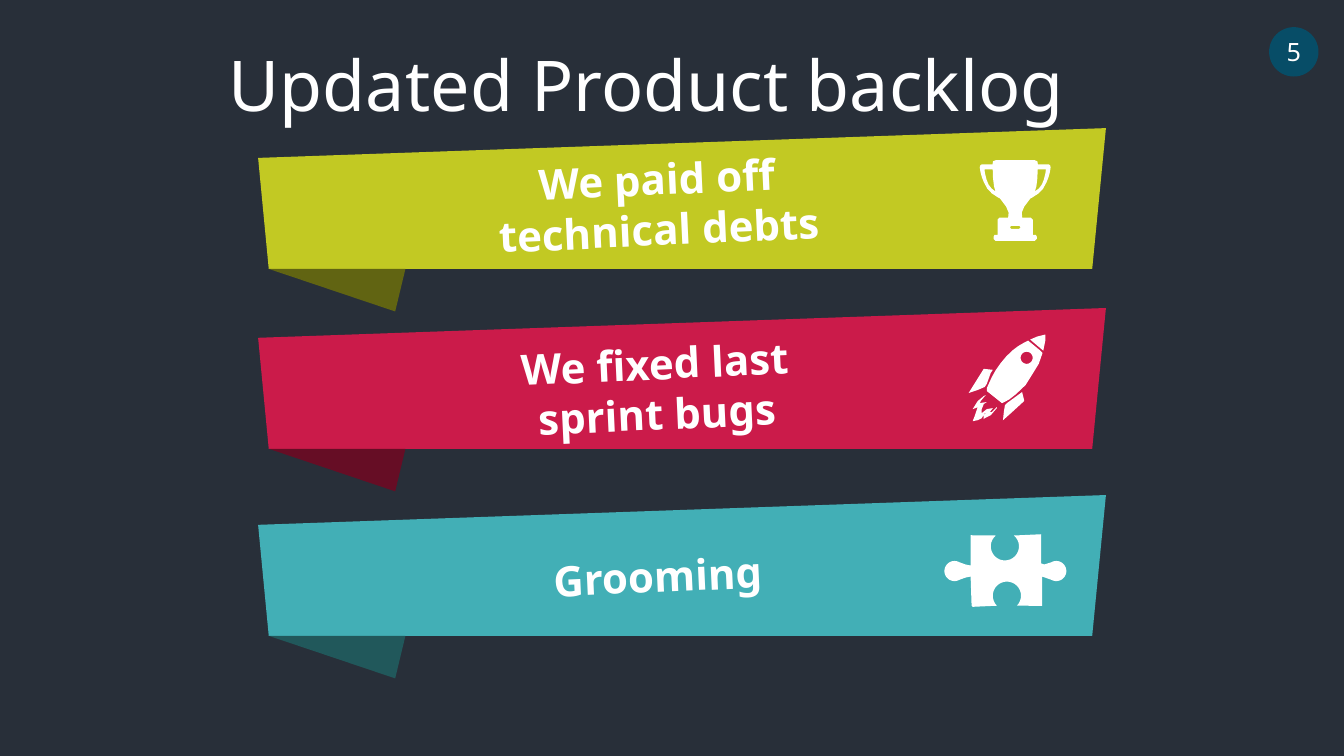
from dataclasses import dataclass
from math import cos, radians, sin

from pptx import Presentation
from pptx.dml.color import RGBColor
from pptx.enum.shapes import MSO_SHAPE
from pptx.enum.text import MSO_ANCHOR, PP_ALIGN
from pptx.util import Pt


@dataclass(frozen=True)
class Theme:
    background: str = "282F39"
    text: str = "FFFFFF"
    badge: str = "074D67"
    lime: str = "C2C923"
    lime_fold: str = "616412"
    crimson: str = "CB1B4A"
    crimson_fold: str = "660D25"
    teal: str = "42AFB6"
    teal_fold: str = "21585B"
    font: str = "Noto Sans"
    first_label_font: str = "Open Sans"
    title_size: int = 50
    label_size: int = 30
    badge_size: int = 18


THEME = Theme()
BANNER_LEFT = 184.4
ICON_UNIT = 0.72  # points per step of the icon grids

BANNER_OUTLINE = [(0, 21.3), (605.6, 0), (595.8, 100.6), (7.6, 100.6)]
FOLD_OUTLINE = [(7.6, 100.6), (105.2, 100.6), (97.9, 131)]


def arc(center_x, center_y, radius, start, end, steps=24):
    """Points on a circle between two angles in degrees, y pointing down."""
    angles = [radians(start + (end - start) * i / steps) for i in range(steps + 1)]
    return [(center_x + radius * cos(a), center_y + radius * sin(a)) for a in angles]


def mirrored(half):
    """Complete a right-hand outline with its reflection in the axis x = 0."""
    return half + [(-x, y) for x, y in reversed(half)]


CUP = mirrored([
    (0, 80), (19.5, 80), (21.5, 78), (21.5, 76), (20.5, 74), (17.5, 74),
    (17.5, 59), (15.5, 57), (7, 57), (6.5, 52), (9, 46), (15, 38), (17, 37),
    (23, 33), (27.5, 28.5), (31, 22), (33, 17), (34.4, 12), (35.2, 7),
    (34.6, 5), (33, 4), (22.5, 4), (22, 1), (19.5, 0), (0, 0),
])
HANDLE = [(19.5, 31), (21, 26), (22, 18), (22.3, 9), (30.5, 9),
          (30, 13), (28.5, 19), (26.5, 24), (23.5, 28)]
CUP_PLATE = mirrored([(0, 65), (4, 65), (5.3, 66.5), (4, 68), (0, 68)])
TROPHY = [[CUP, HANDLE, [(-x, y) for x, y in HANDLE], CUP_PLATE]]

ROCKET_BODY = [
    (14, 56), (14, 53), (19, 42), (23, 35), (28, 28), (33, 22), (39, 16),
    (45, 11.5), (51, 8), (55, 6), (66, 15), (69, 18), (69, 19), (65.5, 29),
    (60, 38), (52.5, 50), (43, 59), (36, 64.5), (29, 68), (19, 60),
]
ROCKET_NOSE = [(70, 16), (57, 5), (64, 2), (72, 0), (72, 6)]
RIGHT_FIN = [(49, 57), (51, 65), (51, 66), (39, 77), (30, 85), (31, 76), (32, 70), (34, 68)]
LEFT_FIN = [(20, 35), (18, 38), (14, 49), (12, 52), (5, 55), (-4, 58), (6, 42), (11, 34)]
FLAME = [
    (14, 67), (11, 69), (9, 74), (9, 78), (14, 74), (20, 73), (17, 77),
    (19, 77), (24, 72), (24, 73), (18, 80), (12, 83), (11, 84), (11, 80),
    (14, 77), (12, 78), (9, 83), (5, 85), (0, 86), (2, 81), (5, 72),
    (3, 73), (0, 74), (5, 66), (11, 61), (13, 60), (8, 66), (7, 68),
]
ROCKET = [[ROCKET_BODY, arc(53.5, 23, 6, 0, 360)], [ROCKET_NOSE],
          [RIGHT_FIN], [LEFT_FIN], [FLAME]]

PUZZLE = [[
    [(26, 31), (26, 1)] + arc(60, 12, 14, 230, -50)
    + [(96, 0), (96, 29), (99, 30)] + arc(111, 36.5, 10, -120, 120)
    + [(97, 42), (97, 71)] + arc(62, 61, 14, 45, -225)
    + [(28, 72), (27, 71), (26, 42), (21, 43)] + arc(10, 36.5, 10, 60, 300)
    + [(21, 30)]
]]


def rgb(colour):
    return RGBColor.from_string(colour)


def paint(shape, colour):
    shape.shadow.inherit = False
    shape.fill.solid()
    shape.fill.fore_color.rgb = rgb(colour)
    shape.line.fill.background()


def write(shape, text, size, font=THEME.font, bold=False):
    shape.text_frame.text = text
    paragraph = shape.text_frame.paragraphs[0]
    paragraph.alignment = PP_ALIGN.CENTER
    for run in paragraph.runs:
        run.font.name = font
        run.font.size = Pt(size)
        run.font.bold = bold
        run.font.color.rgb = rgb(THEME.text)


def add_outline(shapes, contours, left, top, colour, unit=1):
    """Draw closed contours as one freeform; inner contours become holes."""
    builder = None
    for contour in contours:
        points = [(Pt(x * unit), Pt(y * unit)) for x, y in contour]
        if builder is None:
            builder = shapes.build_freeform(*points[0])
        else:
            builder.move_to(*points[0])
        builder.add_line_segments(points[1:], close=True)
    paint(builder.convert_to_shape(Pt(left), Pt(top)), colour)


def add_banner(slide, top, colour, fold_colour):
    shapes = slide.shapes.add_group_shape().shapes
    add_outline(shapes, [BANNER_OUTLINE], BANNER_LEFT, top, colour)
    add_outline(shapes, [FOLD_OUTLINE], BANNER_LEFT, top, fold_colour)


def add_icon(slide, parts, left, top):
    shapes = slide.shapes.add_group_shape().shapes
    for contours in parts:
        add_outline(shapes, contours, left, top, THEME.text, ICON_UNIT)


def add_label(slide, text, left, top, height, font):
    box = slide.shapes.add_textbox(Pt(left), Pt(top), Pt(284.4), Pt(height))
    box.rotation = 357.3
    box.text_frame.word_wrap = True
    write(box, text, THEME.label_size, font, bold=True)


def add_title(slide, text):
    title = slide.shapes.title
    title.left, title.top, title.width, title.height = Pt(44.6), Pt(25.9), Pt(847.4), Pt(67.7)
    title.text_frame.vertical_anchor = MSO_ANCHOR.MIDDLE
    write(title, text, THEME.title_size)
    title.text_frame.paragraphs[0].line_spacing = 1.0


def add_page_badge(slide, number):
    badge = slide.shapes.add_shape(MSO_SHAPE.OVAL, Pt(906.5), Pt(19.4), Pt(35.3), Pt(35.3))
    paint(badge, THEME.badge)
    badge.text_frame.word_wrap = False
    badge.text_frame.vertical_anchor = MSO_ANCHOR.MIDDLE
    write(badge, number, THEME.badge_size)


def main():
    presentation = Presentation()
    presentation.slide_width, presentation.slide_height = Pt(960), Pt(540)
    slide = presentation.slides.add_slide(presentation.slide_layouts[5])
    slide.background.fill.solid()
    slide.background.fill.fore_color.rgb = rgb(THEME.background)

    add_title(slide, "Updated Product backlog ")
    add_page_badge(slide, "5")

    add_banner(slide, 91.5, THEME.lime, THEME.lime_fold)
    add_banner(slide, 220, THEME.crimson, THEME.crimson_fold)
    add_banner(slide, 353.6, THEME.teal, THEME.teal_fold)

    add_icon(slide, ROCKET, 694.8, 239)
    add_icon(slide, PUZZLE, 674.6, 381.6)
    add_icon(slide, TROPHY, 725.2, 114.5)

    add_label(slide, "We paid off technical debts", 327.6, 105.8, 79.9, THEME.first_label_font)
    add_label(slide, "We fixed last sprint bugs", 326.2, 237.6, 79.9, THEME.font)
    add_label(slide, "Grooming", 327.6, 389.5, 43.9, THEME.font)

    presentation.save("out.pptx")


if __name__ == "__main__":
    main()
